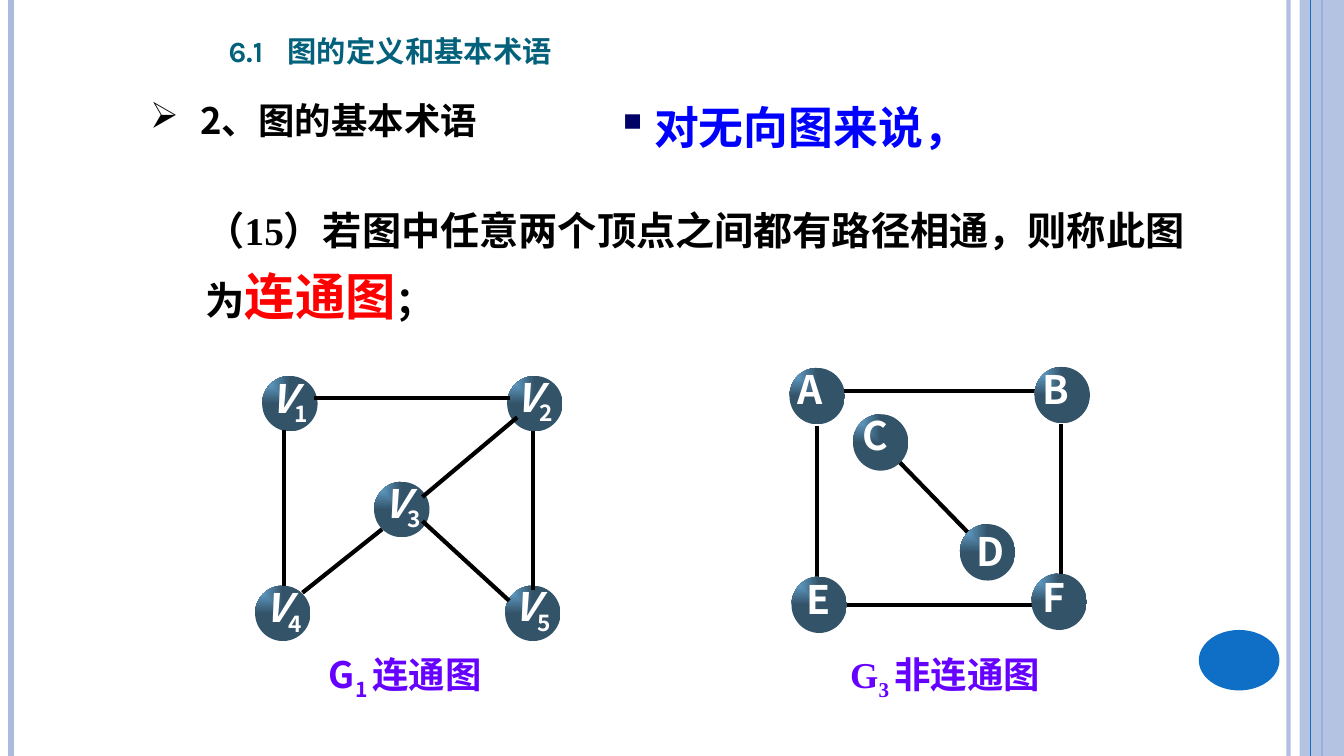
from lxml import etree
from pptx import Presentation, util as u
from pptx.dml.color import RGBColor
from pptx.enum import shapes, text
from pptx.oxml.ns import qn

COLORS = {
    "pale": "ABBBDF", "blue": "0F6FC6", "teal": "04617B", "black": "000000",
    "red": "FF0000", "violet": "6600FF", "bright": "0000FF", "navy": "000066",
    "white": "FFFFFF", "node_light": "6FB4E3", "node_dark": "335369",
}
SANS, SERIF, TITLE = "Noto Sans CJK SC", "Times New Roman", "Karla"
ALIGN, ANCHOR = text.PP_ALIGN, text.MSO_ANCHOR

# Page frame: x, colour, width in points, opacity in percent
FRAME_BACK = [(12.78, "pale", 3, 93), (0.11, "pale", 4.5, 100), (13.11, "blue", 1.5, 100)]
FRAME_FRONT = [(13, "blue", 0.75, 100)]

# Text boxes: position, runs of (text, run format), box format
TEXTS = [
    ((2.17, 0.13, 4.46, 0.61),
     [("6.1", {}), (" ", {"spacing": 6}), ("图的定义和基本术语", {})],
     dict(size=26.2, font=TITLE, color="teal", small_caps=True, anchor=ANCHOR.BOTTOM)),
    ((1.39, 0.84, 5.5, 0.62), [("2、图的基本术语", {})],
     dict(size=26, line_spacing=1.2, bullet="➢", indent=0.5)),
    ((1.94, 1.9, 9.92, 1.39),
     [("（15）若图中任意两个顶点之间都有路径相通，则称此图为", {}),
      ("连通图", {"size": 36, "color": "red"}), ("；", {})],
     dict(size=28, font=SERIF, line_spacing=1.2)),
    ((6.01, 0.94, 4.77, 0.78), [("对无向图来说，", {})],
     dict(size=32, color="bright", bullet="▪", bullet_color="navy", indent=0.38)),
]

# Nodes: letter, subscript, left, top, label offset; edges: x1, y1, x2, y2
GRAPHS = [
    {
        "node_height": 0.56, "label_height": 0.67, "italic": False, "edges_first": True,
        "nodes": [
            ("A", "", 7.83, 3.65, 0.07, -0.06), ("B", "", 10.26, 3.64, 0.07, -0.05),
            ("C", "", 8.46, 4.11, 0.08, -0.06), ("D", "", 9.52, 5.2, 0.16, 0),
            ("E", "", 7.85, 5.72, 0.14, -0.04), ("F", "", 10.23, 5.69, 0.1, -0.03),
        ],
        "edges": [
            (8.1, 5.84, 8.1, 4.23), (8.35, 3.88, 10.3, 3.88), (10.52, 4.21, 10.52, 5.81),
            (8.32, 6, 10.29, 6), (8.81, 4.47, 9.83, 5.52),
        ],
        "caption": ((8.32, 6.42, 2.11, 0.54), SERIF, "3 ", "非连通图"),
    },
    {
        "node_height": 0.55, "label_height": 0.65, "italic": True, "edges_first": False,
        "nodes": [
            ("V", "1", 2.6, 3.73, 0.07, -0.05), ("V", "2", 5.03, 3.73, 0.07, -0.06),
            ("V", "3", 3.71, 4.78, 0.08, -0.06), ("V", "4", 2.53, 5.81, 0.08, -0.05),
            ("V", "5", 5.01, 5.81, 0.07, -0.06),
        ],
        "edges": [
            (4.19, 4.93, 5.13, 4.14), (3.11, 3.95, 5.06, 3.95), (5.29, 4.28, 5.29, 5.85),
            (2.82, 4.27, 2.82, 5.81), (3, 5.88, 3.79, 5.25), (4.19, 5.17, 5.05, 5.96),
        ],
        "caption": ((3.15, 6.42, 1.74, 0.54), SANS, "1 ", "连通图"),
    },
]


def inches(values):
    return [u.Inches(value) for value in values]


def rgb(name):
    return RGBColor.from_string(COLORS[name])


def add_opacity(element, percent):
    if percent < 100:
        color = next(element.iter(qn("a:srgbClr")))
        etree.SubElement(color, qn("a:alpha"), val=str(percent * 1000))


def add_line(slide, ends, color="black", width=3, opacity=100):
    line = slide.shapes.add_connector(shapes.MSO_CONNECTOR.STRAIGHT, *inches(ends))
    line.line.color.rgb = rgb(color)
    line.line.width = u.Pt(width)
    properties = line.element.spPr
    add_opacity(properties, opacity)
    etree.SubElement(properties, qn("a:effectLst"))


def add_shape(slide, kind, box, fill=None, opacity=100):
    shape = slide.shapes.add_shape(kind, *inches(box))
    shape.shadow.inherit = False
    shape.line.fill.background()
    if fill:
        shape.fill.solid()
        shape.fill.fore_color.rgb = rgb(fill)
        add_opacity(shape.element.spPr, opacity)
        return
    # Node gradient spreading from the upper left corner
    shape.fill.gradient()
    for stop, color, position in zip(shape.fill.gradient_stops, ("node_light", "node_dark"), (0, 1)):
        stop.color.rgb = rgb(color)
        stop.position = position
    gradient = shape.element.spPr.find(qn("a:gradFill"))
    direction = gradient.find(qn("a:lin"))
    spread = etree.Element(qn("a:path"), path="rect")
    etree.SubElement(spread, qn("a:fillToRect"), r="100000", b="100000")
    gradient.replace(direction, spread)


def add_bullet(paragraph, mark, color, indent):
    properties = paragraph._p.get_or_add_pPr()
    properties.set("marL", str(u.Inches(indent)))
    properties.set("indent", str(-u.Inches(indent)))
    if color:
        holder = etree.SubElement(properties, qn("a:buClr"))
        etree.SubElement(holder, qn("a:srgbClr"), val=COLORS[color])
    etree.SubElement(properties, qn("a:buChar"), char=mark)


def add_text(slide, box, runs, *, size, font=SANS, color="black", small_caps=False,
             align=ALIGN.LEFT, anchor=ANCHOR.TOP, line_spacing=None, insets=None,
             bullet=None, bullet_color=None, indent=0):
    frame = slide.shapes.add_textbox(*inches(box)).text_frame
    frame.word_wrap = True
    frame.vertical_anchor = anchor
    if insets:
        (frame.margin_left, frame.margin_top,
         frame.margin_right, frame.margin_bottom) = inches(insets)
    paragraph = frame.paragraphs[0]
    if bullet:
        add_bullet(paragraph, bullet, bullet_color, indent)
    paragraph.alignment = align
    if line_spacing:
        paragraph.line_spacing = line_spacing
    for content, style in runs:
        run = paragraph.add_run()
        run.text = content
        run.font.size = u.Pt(style.get("size", size))
        run.font.bold = True
        run.font.italic = style.get("italic", False)
        run.font.color.rgb = rgb(style.get("color", color))
        run.font.name = font
        properties = run.font._element
        etree.SubElement(properties, qn("a:ea"), typeface=SANS)
        if small_caps:
            properties.set("cap", "small")
        if "spacing" in style:
            properties.set("spc", str(style["spacing"] * 100))
        if style.get("subscript"):
            properties.set("baseline", "-25000")


def add_edges(slide, graph):
    for ends in graph["edges"]:
        add_line(slide, ends)


def add_graph(slide, graph):
    if graph["edges_first"]:
        add_edges(slide, graph)
    for letter, number, left, top, dx, dy in graph["nodes"]:
        add_shape(slide, shapes.MSO_SHAPE.OVAL, (left, top, 0.55, graph["node_height"]))
        runs = [(letter, {"italic": graph["italic"]})]
        if number:
            runs.append((number, {"subscript": True}))
        add_text(slide, (left + dx, top + dy, 0.51, graph["label_height"]), runs, size=28,
                 color="white", align=ALIGN.JUSTIFY, insets=(0.01, 0.03, 0, 0.01))
    if not graph["edges_first"]:
        add_edges(slide, graph)
    box, font, number, name = graph["caption"]
    add_text(slide, box, [("G", {}), (number, {"subscript": True}), (name, {})],
             size=26, font=font, color="violet", align=ALIGN.CENTER)


def main():
    presentation = Presentation()
    presentation.slide_width, presentation.slide_height = inches((13.33, 7.5))
    slide = presentation.slides.add_slide(presentation.slide_layouts[6])

    # Page frame
    for x, *style in FRAME_BACK:
        add_line(slide, (x, 0, x, 7.5), *style)
    add_shape(slide, shapes.MSO_SHAPE.RECTANGLE, (12.89, 0, 0.44, 7.5), "pale", 87)
    for x, *style in FRAME_FRONT:
        add_line(slide, (x, 0, x, 7.5), *style)
    add_shape(slide, shapes.MSO_SHAPE.OVAL, (11.89, 6.25, 0.8, 0.6), "blue")

    # Title and definition
    for box, runs, style in TEXTS:
        add_text(slide, box, runs, **style)

    # Two graphs
    for graph in GRAPHS:
        add_graph(slide, graph)

    presentation.save("out.pptx")


if __name__ == "__main__":
    main()
